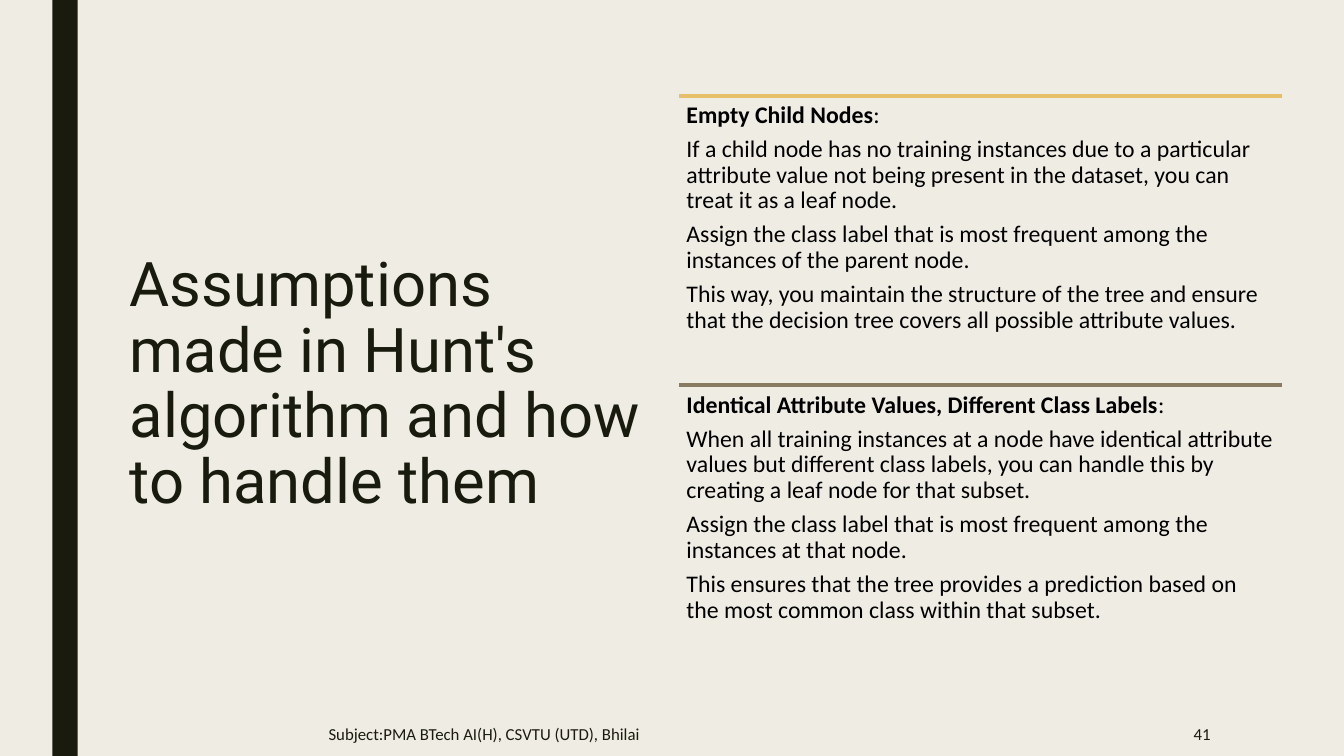
from dataclasses import dataclass

from lxml.etree import SubElement
from pptx import Presentation
from pptx.dml.color import RGBColor as RGB
from pptx.enum.shapes import MSO_CONNECTOR as CONNECTOR, MSO_SHAPE as SHAPE
from pptx.enum.text import MSO_ANCHOR as ANCHOR, PP_ALIGN as ALIGN
from pptx.oxml.ns import qn
from pptx.util import Cm, Pt


@dataclass(frozen=True)
class Theme:
    background: RGB = RGB.from_string("EFEDE3")
    dark: RGB = RGB.from_string("191B0E")
    body: RGB = RGB.from_string("000000")
    gold: RGB = RGB.from_string("E6C069")
    brown: RGB = RGB.from_string("897B61")
    title_font: str = "Roboto"
    body_font: str = "Calibri"
    title_size: int = 44
    body_size: int = 17
    footer_size: int = 12


THEME = Theme()
SECTION_LEFT, SECTION_TOP = 17.12, 2.41
SECTION_WIDTH, SECTION_HEIGHT = 15.19, 7.3
FOOTER_TOP, FOOTER_HEIGHT = 17.93, 1.12

SECTIONS = [
    (THEME.gold, "Empty Child Nodes", [
        "If a child node has no training instances due to a particular attribute "
        "value not being present in the dataset, you can treat it as a leaf node.",
        "Assign the class label that is most frequent among the instances of the "
        "parent node.",
        "This way, you maintain the structure of the tree and ensure that the "
        "decision tree covers all possible attribute values.",
    ]),
    (THEME.brown, "Identical Attribute Values, Different Class Labels", [
        "When all training instances at a node have identical attribute values but "
        "different class labels, you can handle this by creating a leaf node for "
        "that subset.",
        "Assign the class label that is most frequent among the instances at that "
        "node.",
        "This ensures that the tree provides a prediction based on the most common "
        "class within that subset.",
    ]),
]


def add_bar(s, left, top, width, height, color):
    sp = s.shapes.add_shape(SHAPE.RECTANGLE, Cm(left), Cm(top), Cm(width), Cm(height))
    sp.shadow.inherit = False
    sp.fill.solid()
    sp.fill.fore_color.rgb = color
    sp.line.fill.background()


def add_rule(s, left, top, width, color):
    line = s.shapes.add_connector(
        CONNECTOR.STRAIGHT, Cm(left), Cm(top), Cm(left + width), Cm(top))
    line.line.color.rgb = color
    line.line.width = Pt(2.75)
    SubElement(line._element.spPr, qn("a:effectLst"))


def add_text(s, left, top, width, height, paragraphs, *, size, color=THEME.dark,
             font=THEME.body_font, anchor=ANCHOR.MIDDLE, align=ALIGN.LEFT,
             spacing=1.0, after=0, inset=None):
    """Add a text box; each paragraph is a list of (text, bold) runs."""
    tf = s.shapes.add_textbox(Cm(left), Cm(top), Cm(width), Cm(height)).text_frame
    tf.word_wrap = True
    tf.vertical_anchor = anchor
    if inset is not None:
        tf.margin_left = tf.margin_top = tf.margin_right = tf.margin_bottom = Cm(inset)
    for i, runs in enumerate(paragraphs):
        p = tf.add_paragraph() if i else tf.paragraphs[0]
        p.alignment = align
        p.line_spacing = spacing
        p.space_after = Pt(after)
        for text, bold in runs:
            r = p.add_run()
            r.text = text
            r.font.name = font
            r.font.size = Pt(size)
            r.font.bold = bold
            r.font.color.rgb = color


def add_section(s, top, color, heading, points):
    add_rule(s, SECTION_LEFT, top, SECTION_WIDTH, color)
    paragraphs = [[(heading, True), (":", False)]]
    paragraphs += [[(point, False)] for point in points]
    add_text(s, SECTION_LEFT, top, SECTION_WIDTH, SECTION_HEIGHT, paragraphs,
             size=THEME.body_size, color=THEME.body, anchor=ANCHOR.TOP,
             spacing=0.9, after=6, inset=0.18)


def add_footer(s, left, width, text, align):
    add_text(s, left, FOOTER_TOP, width, FOOTER_HEIGHT, [[(text, False)]],
             size=THEME.footer_size, align=align)


def main():
    prs = Presentation()
    prs.slide_width, prs.slide_height = Cm(33.87), Cm(19.05)
    s = prs.slides.add_slide(prs.slide_layouts[6])
    s.background.fill.solid()
    s.background.fill.fore_color.rgb = THEME.background

    add_bar(s, 1.32, 0, 0.64, 19.05, THEME.dark)
    title = "Assumptions made in Hunt's algorithm and how to handle them"
    add_text(s, 3.02, SECTION_TOP, 13.89, 2 * SECTION_HEIGHT, [[(title, False)]],
             size=THEME.title_size, font=THEME.title_font, spacing=0.89)
    for i, section in enumerate(SECTIONS):
        add_section(s, SECTION_TOP + i * SECTION_HEIGHT, *section)
    add_footer(s, 8.03, 17.45, "Subject:PMA BTech AI(H), CSVTU (UTD), Bhilai", ALIGN.LEFT)
    add_footer(s, 26.31, 4.45, "41", ALIGN.RIGHT)

    prs.save("out.pptx")


if __name__ == "__main__":
    main()
